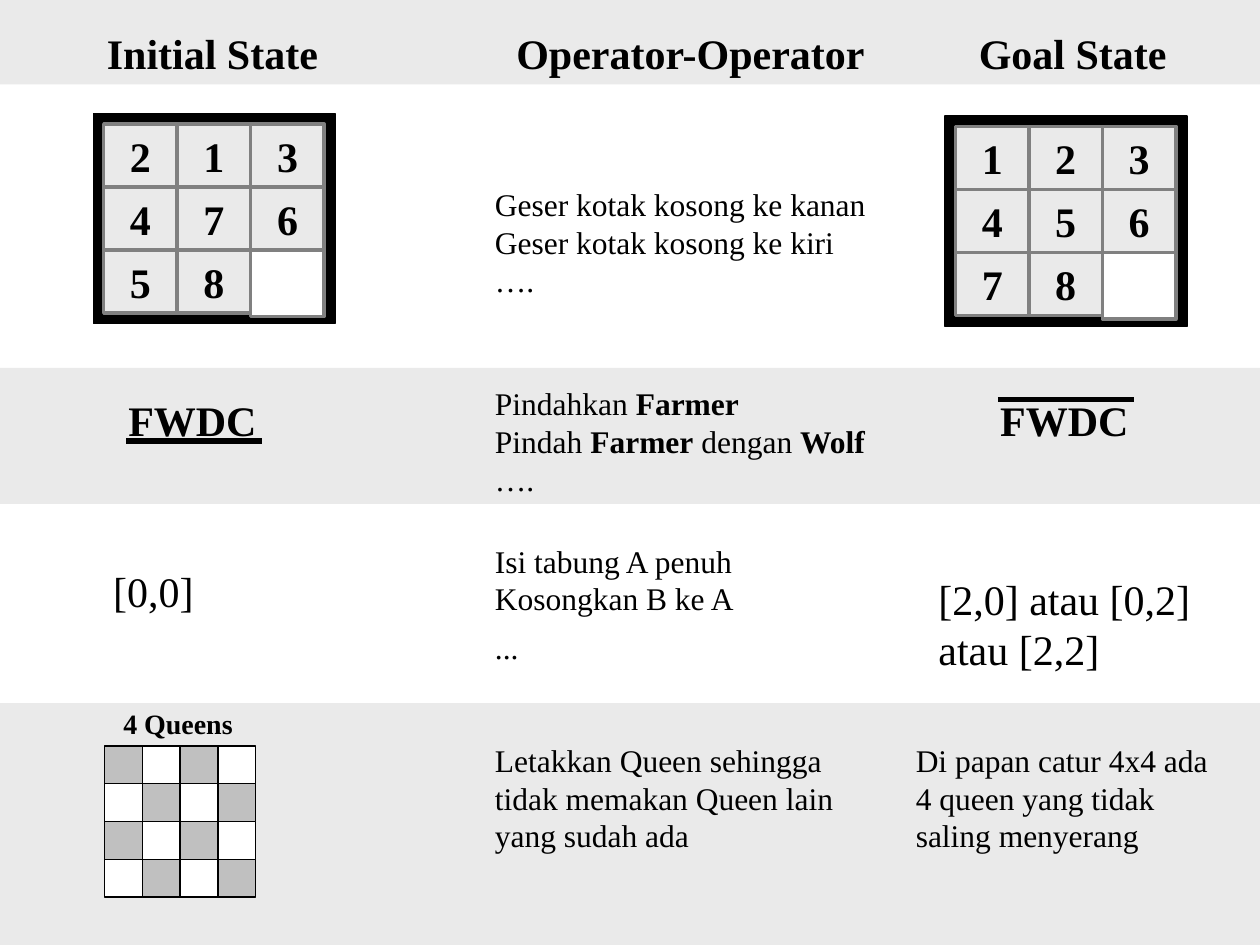
from itertools import product

from lxml.etree import SubElement
from pptx import Presentation
from pptx.dml.color import RGBColor
from pptx.enum.shapes import MSO_CONNECTOR as Connector, MSO_SHAPE as Shape
from pptx.enum.text import MSO_AUTO_SIZE as AutoSize, MSO_ANCHOR as Anchor, PP_ALIGN as Align
from pptx.oxml.ns import qn
from pptx.util import Inches, Pt

BLACK, WHITE, PALE, SILVER, GRAY = "000000", "FFFFFF", "EAEAEA", "C0C0C0", "808080"


def color(value):
    """Turn a hex string into a colour."""
    return RGBColor.from_string(value)


def add_span(para, text, size=18, bold=False, font="Times New Roman", fill=BLACK):
    """Append formatted text to a paragraph."""
    span = para.add_run()
    span.text = text
    span.font.name = font
    span.font.size = Pt(size)
    span.font.bold = bold
    span.font.color.rgb = color(fill)
    return span


class SlideBuilder:
    """Draw the state-space examples on one slide."""

    def __init__(self, slide):
        """Keep the slide that receives the elements."""
        self.slide = slide

    def rectangle(self, parent, left, top, width, height, fill, line=None, weight=0.75):
        """Add a flat rectangle to the slide or a group."""
        box = parent.shapes.add_shape(Shape.RECTANGLE, *map(Inches, (left, top, width, height)))
        box.shadow.inherit = False
        box.fill.solid()
        box.fill.fore_color.rgb = color(fill)
        if line:
            box.line.color.rgb = color(line)
            box.line.width = Pt(weight)
        else:
            box.line.fill.background()
        return box

    def band(self, top, height):
        """Add a pale band across the slide."""
        self.rectangle(self.slide, 0, top, 10, height, PALE)

    def text(self, left, top, width, height, paragraphs, wrap=False, size=18, bold=False):
        """Add a text box whose paragraphs are strings or lists of spans."""
        box = self.slide.shapes.add_textbox(*map(Inches, (left, top, width, height)))
        frame = box.text_frame
        frame.word_wrap = wrap
        frame.auto_size = AutoSize.SHAPE_TO_FIT_TEXT
        for index, spans in enumerate(paragraphs):
            para = frame.paragraphs[0] if index == 0 else frame.add_paragraph()
            if isinstance(spans, str):
                spans = [(spans, {})]
            for words, style in spans:
                for number, part in enumerate(words.split("\n")):
                    if number:
                        para.add_line_break()
                    add_span(para, part, **{"size": size, "bold": bold, **style})

    def heading(self, left, top, width, words, size=24, height=0.5):
        """Add a bold one-line label."""
        self.text(left, top, width, height, [words], size=size, bold=True)

    def rule(self, left, top, width):
        """Add a thick horizontal line."""
        ends = map(Inches, (left, top, left + width, top))
        line = self.slide.shapes.add_connector(Connector.STRAIGHT, *ends)
        line.line.color.rgb = color(BLACK)
        line.line.width = Pt(3)
        SubElement(line.element.spPr, qn("a:effectLst"))

    def puzzle(self, left, top, digits):
        """Add a framed 3x3 sliding puzzle with an empty last cell."""
        group = self.slide.shapes.add_group_shape()
        self.rectangle(group, left, top, 1.92, 1.67, BLACK, BLACK)
        cell_width, cell_height, margin = 7 / 12, 0.5, 1 / 12
        for (row, column), digit in zip(product(range(3), repeat=2), digits + " "):
            blank = digit == " "
            box = self.rectangle(
                group, left + margin + column * cell_width, top + margin + row * cell_height,
                cell_width, 0.53 if blank else cell_height,
                WHITE if blank else PALE, GRAY, 2)
            if not blank:
                frame = box.text_frame
                frame.word_wrap = True
                frame.auto_size = AutoSize.SHAPE_TO_FIT_TEXT
                frame.vertical_anchor = Anchor.TOP
                para = frame.paragraphs[0]
                para.alignment = Align.CENTER
                para.space_before = Pt(15)
                add_span(para, digit, size=24, bold=True)

    def chessboard(self, left, top, count=4, side=0.3):
        """Add a checkered board."""
        group = self.slide.shapes.add_group_shape()
        for row, column in product(range(count), repeat=2):
            fill = WHITE if (row + column) % 2 else SILVER
            self.rectangle(group, left + column * side, top + row * side, side, side, fill, BLACK)


def main():
    """Build and save the slide."""
    deck = Presentation()
    deck.slide_width, deck.slide_height = Inches(10), Inches(7.5)
    page = SlideBuilder(deck.slides.add_slide(deck.slide_layouts[6]))
    strong = {"bold": True}
    operators = 3.83

    for top, height in ((0, 0.67), (5.58, 1.92), (2.92, 1.08)):
        page.band(top, height)

    page.heading(0.75, 0.17, 1.9, "Initial State")
    page.heading(4, 0.17, 3, "Operator-Operator")
    page.heading(7.67, 0.17, 1.72, "Goal State")

    page.puzzle(0.74, 0.9, "21347658")
    page.text(operators, 1.42, 3.17, 1,
              ["Geser kotak kosong ke kanan", "Geser kotak kosong ke kiri", "…."])
    page.puzzle(7.5, 0.92, "12345678")

    for left, rule_left, rule_top in ((0.92, 1, 3.5), (7.84, 7.92, 3.17)):
        page.heading(left, 3.08, 1.24, "FWDC")
        page.rule(rule_left, rule_top, 1.08)
    page.text(operators, 3, 3.18, 1, [
        [("Pindahkan ", {}), ("Farmer", strong)],
        [("Pindah ", {}), ("Farmer", strong), (" dengan ", {}), ("Wolf", strong)],
        "….",
    ])

    page.text(0.8, 4.44, 0.99, 0.5, ["[0,0]"], wrap=True, size=24)
    page.text(operators, 4.25, 2.17, 1.1, [
        "Isi tabung A penuh \nKosongkan B ke A",
        [("...", {}), (" ", {"size": 24})],
    ])
    page.text(7.35, 4.5, 2.36, 0.9, ["[2,0] atau [0,2] atau [2,2]"], wrap=True, size=24)

    page.heading(0.88, 5.56, 1.09, "4 Queens", size=16, height=0.37)
    page.chessboard(0.83, 5.92)
    page.text(operators, 5.83, 2.93, 1,
              ["Letakkan Queen sehingga tidak memakan Queen lain yang sudah ada"], wrap=True)
    page.text(7.17, 5.83, 2.67, 1,
              ["Di papan catur 4x4 ada 4 queen yang tidak saling menyerang"], wrap=True)

    deck.save("out.pptx")


if __name__ == "__main__":
    main()
